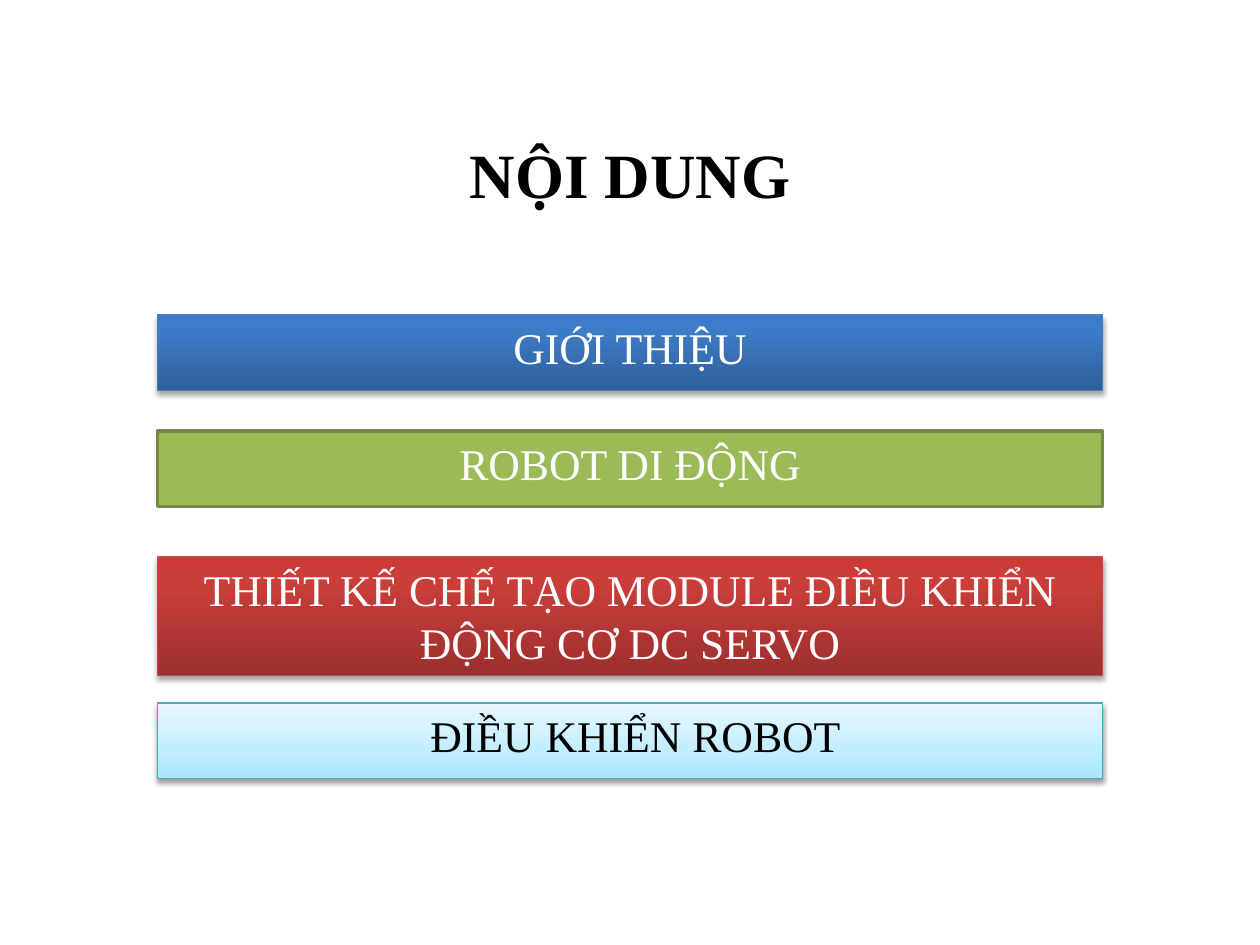
from copy import deepcopy
from lxml import etree
from pptx import Presentation
from pptx import util as u
from pptx.dml.color import RGBColor
from pptx.enum import shapes, text
from pptx.oxml.ns import qn

WHITE = RGBColor(0xFF, 0xFF, 0xFF)
BLACK = RGBColor(0x00, 0x00, 0x00)
BLUE = RGBColor(0x3A, 0x7C, 0xCB)
BLUE_MID = RGBColor(0x3D, 0x7C, 0xC7)
BLUE_DARK = RGBColor(0x2F, 0x5F, 0x99)
BLUE_EDGE = RGBColor(0x4B, 0x7E, 0xBC)
GREEN = RGBColor(0x9B, 0xBB, 0x59)
GREEN_EDGE = RGBColor(0x73, 0x8A, 0x42)
RED = RGBColor(0xCE, 0x3B, 0x37)
RED_MID = RGBColor(0xCB, 0x3E, 0x3A)
RED_DARK = RGBColor(0x9C, 0x2F, 0x2D)
RED_EDGE = RGBColor(0xBF, 0x4C, 0x48)
AQUA = RGBColor(0xE7, 0xF8, 0xFF)
AQUA_MID = RGBColor(0xC1, 0xED, 0xFF)
AQUA_DARK = RGBColor(0xA7, 0xE6, 0xFF)
AQUA_EDGE = RGBColor(0x46, 0xAA, 0xC5)


class Deck:
    font = "Times New Roman"
    left, width = u.Inches(1.25), u.Inches(7.5)

    def __init__(self):
        self.prs = Presentation()
        self.prs.slide_width, self.prs.slide_height = u.Inches(10), u.Inches(7.5)
        self.slide = self.prs.slides.add_slide(self.prs.slide_layouts[5])

    def label(self, frame, words, size, color, bold=False):
        frame.word_wrap = True
        para = frame.paragraphs[0]
        para.alignment = text.PP_ALIGN.CENTER
        run = para.add_run()
        run.text = words
        run.font.name, run.font.size = self.font, u.Pt(size)
        run.font.bold, run.font.color.rgb = bold, color

    def title(self, words):
        box = self.slide.shapes.title
        box.left, box.top = u.Inches(0.5), u.Inches(0.75)
        box.width, box.height = u.Inches(9), u.Inches(1.25)
        box.text_frame.vertical_anchor = text.MSO_ANCHOR.MIDDLE
        self.label(box.text_frame, words, 36, BLACK, True)

    def bar(self, words, top, height, edge, line=0.75, color=WHITE):
        box = self.slide.shapes.add_shape(
            shapes.MSO_SHAPE.RECTANGLE, self.left, u.Inches(top), self.width, u.Inches(height))
        box.shadow.inherit = False
        box.line.color.rgb, box.line.width = edge, u.Pt(line)
        frame = box.text_frame
        frame.vertical_anchor = text.MSO_ANCHOR.TOP
        frame.auto_size = text.MSO_AUTO_SIZE.SHAPE_TO_FIT_TEXT
        self.label(frame, words, 25, color)
        return box

    def flat(self, box, color):
        box.fill.solid()
        box.fill.fore_color.rgb = color

    def blend(self, box, colors, middle):
        box.fill.gradient()
        box.fill.gradient_angle = 90
        stops = box._element.spPr.find(qn("a:gradFill")).find(qn("a:gsLst"))
        stops.append(deepcopy(stops[-1]))
        for stop, color, place in zip(box.fill.gradient_stops, colors, (0, middle, 1)):
            stop.color.rgb, stop.position = color, place

    def shade(self, box, alpha, dist):
        effects = box._element.spPr.find(qn("a:effectLst"))
        outer = etree.SubElement(
            effects, qn("a:outerShdw"), blurRad=str(u.Pt(3.1)), dist=str(u.Pt(dist)),
            dir="5400000", rotWithShape="0")
        color = etree.SubElement(outer, qn("a:srgbClr"), val=str(BLACK))
        etree.SubElement(color, qn("a:alpha"), val=str(alpha * 1000))

    def save(self):
        self.prs.save("out.pptx")


def main():
    deck = Deck()
    deck.title("NỘI DUNG")

    intro = deck.bar("GIỚI THIỆU", 2.5, 0.6, BLUE_EDGE)
    deck.blend(intro, (BLUE_DARK, BLUE_MID, BLUE), 0.8)
    deck.shade(intro, 35, 1.8)

    robot = deck.bar("ROBOT DI ĐỘNG", 3.42, 0.6, GREEN_EDGE, line=2)
    deck.flat(robot, GREEN)

    servo = deck.bar("THIẾT KẾ CHẾ TẠO MODULE ĐIỀU KHIỂN ĐỘNG CƠ DC SERVO", 4.42, 0.94, RED_EDGE)
    deck.blend(servo, (RED_DARK, RED_MID, RED), 0.8)
    deck.shade(servo, 35, 1.8)

    drive = deck.bar(" ĐIỀU KHIỂN ROBOT", 5.58, 0.6, AQUA_EDGE, color=BLACK)
    deck.blend(drive, (AQUA_DARK, AQUA_MID, AQUA), 0.35)
    deck.shade(drive, 38, 1.6)

    deck.save()


if __name__ == "__main__":
    main()
